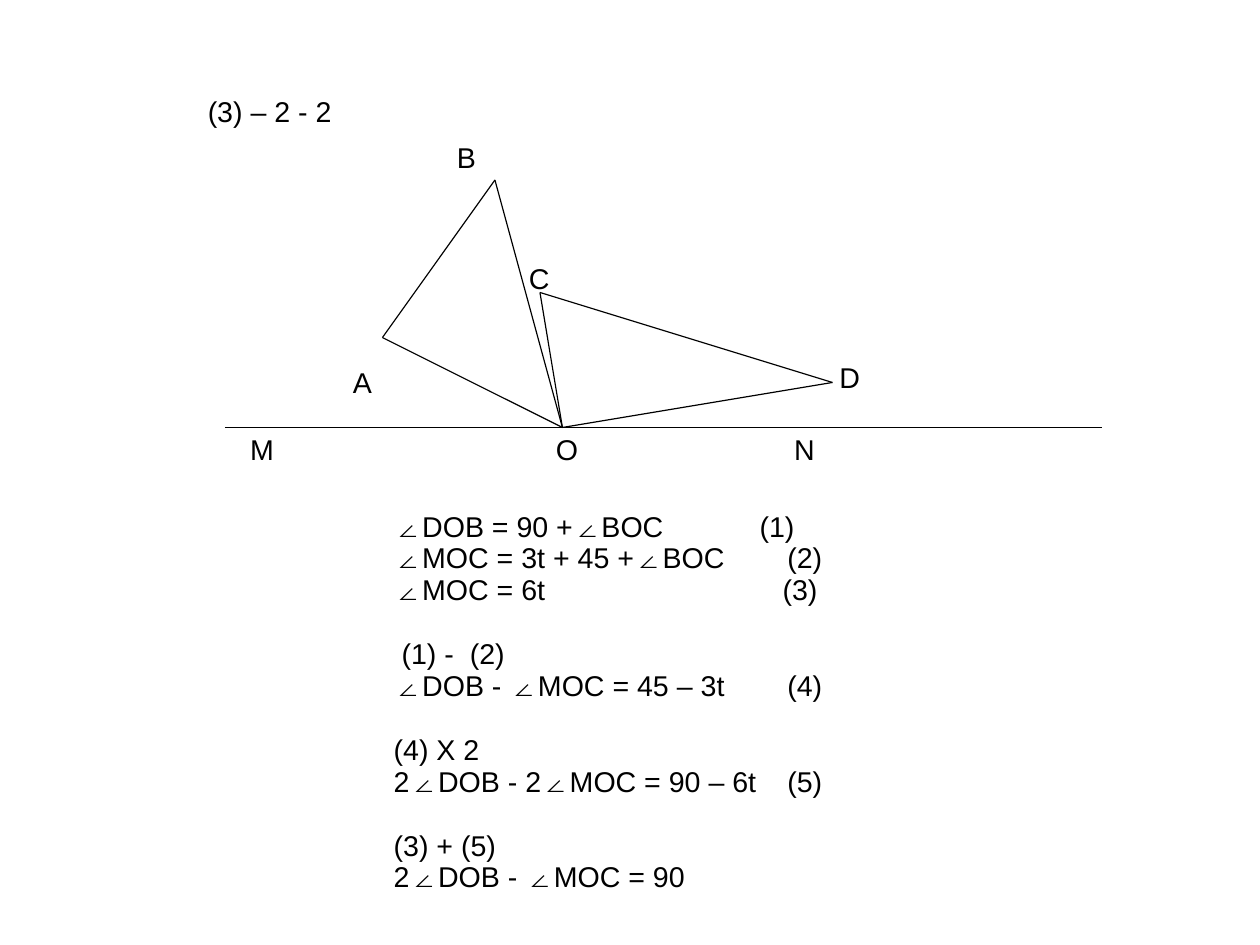
import pptx
import pptx.dml.color
import pptx.enum.shapes
import pptx.oxml
import pptx.oxml.ns
import pptx.util

Pt = pptx.util.Pt
INK = "000000"
LINE_PITCH = 20.1

# Points of the figure, in points from the slide's top left
POINTS = {
    "A": (240.94, 212.6), "B": (311.81, 113.39), "C": (340.16, 184.25),
    "D": (524.41, 240.94), "O": (354.33, 269.29),
    "left end": (141.73, 269.29), "right end": (694.49, 269.29),
}
SEGMENTS = [("left end", "right end"), ("B", "A"), ("B", "O"), ("O", "C"),
            ("O", "D"), ("C", "D"), ("A", "O")]

# Text, left, top, width
LABELS = [
    ("(3) – 2 - 2", 123.8, 56.2, 92.2),
    ("A", 215.3, 226.8, 25.9), ("B", 280.8, 85, 25.9),
    ("C", 326, 161.6, 27.4), ("D", 521.7, 223.6, 27.4),
    ("M", 150.5, 269, 29.5), ("O", 343.1, 269, 28.1),
    ("N", 493.2, 269, 27.4),
]

# Groups of (text, tab stops)
EQUATION_GROUPS = [
    [("∠DOB = 90 +∠BOC\t(1)", [230.5]),
     ("∠MOC = 3t + 45 +∠BOC\t(2)", [248]),
     ("∠MOC = 6t\t(3)", [245])],
    [("\t(1) -\t(2)", [5, 48]),
     ("∠DOB - ∠MOC = 45 – 3t\t(4)", [248])],
    [("(4) X 2", []),
     ("2∠DOB - 2∠MOC = 90 – 6t\t(5)", [248])],
    [("(3) + (5)", []),
     ("2∠DOB - ∠MOC = 90", [])],
]


def color(value):
    return pptx.dml.color.RGBColor.from_string(value)


def add_segment(slide, start, end):
    line = slide.shapes.add_connector(
        pptx.enum.shapes.MSO_CONNECTOR.STRAIGHT,
        *(Pt(value) for value in POINTS[start] + POINTS[end]))
    line.line.color.rgb = color(INK)
    line.line.width = Pt(0.75)
    properties = line._element.spPr
    properties.append(pptx.oxml.parse_xml(
        f'<a:effectLst {pptx.oxml.ns.nsdecls("a")}/>'))


def add_text_frame(slide, left, top, width, height, wrap):
    box = slide.shapes.add_textbox(Pt(left), Pt(top), Pt(width), Pt(height))
    frame = box.text_frame
    frame.word_wrap = wrap
    frame.margin_left = frame.margin_right = Pt(7.2)
    frame.margin_top = Pt(5)
    frame.margin_bottom = Pt(3.6)
    return frame


def format_runs(paragraph):
    for run in paragraph.runs:
        run.font.name = "Arial"
        run.font.size = Pt(18)
        run.font.color.rgb = color(INK)


def add_label(slide, text, left, top, width):
    frame = add_text_frame(slide, left, top, width, 27.4, False)
    frame.text = text
    frame.paragraphs[0].line_spacing = 0.93
    format_runs(frame.paragraphs[0])


def add_tab_stops(paragraph, stops):
    tabs = "".join(f'<a:tab pos="{Pt(stop)}" algn="l"/>' for stop in stops)
    paragraph._p.get_or_add_pPr().append(pptx.oxml.parse_xml(
        f'<a:tabLst {pptx.oxml.ns.nsdecls("a")}>{tabs}</a:tabLst>'))


def add_equations(slide):
    frame = add_text_frame(slide, 240.9, 316.8, 298, 249, True)
    paragraph = frame.paragraphs[0]
    for group_index, group in enumerate(EQUATION_GROUPS):
        for row, (text, stops) in enumerate(group):
            if group_index or row:
                paragraph = frame.add_paragraph()
            paragraph.text = text
            if stops:
                add_tab_stops(paragraph, stops)
            paragraph.line_spacing = Pt(LINE_PITCH)
            # One line of space opens each later group
            if group_index and row == 0:
                paragraph.space_before = Pt(LINE_PITCH)
            format_runs(paragraph)


def main():
    presentation = pptx.Presentation()
    presentation.slide_width = Pt(793.75)
    presentation.slide_height = Pt(595.25)
    slide = presentation.slides.add_slide(presentation.slide_layouts[6])

    # Base line and two triangles
    for start, end in SEGMENTS:
        add_segment(slide, start, end)

    # Heading and point names
    for label in LABELS:
        add_label(slide, *label)

    # Derivation
    add_equations(slide)
    presentation.save("out.pptx")


if __name__ == "__main__":
    main()
